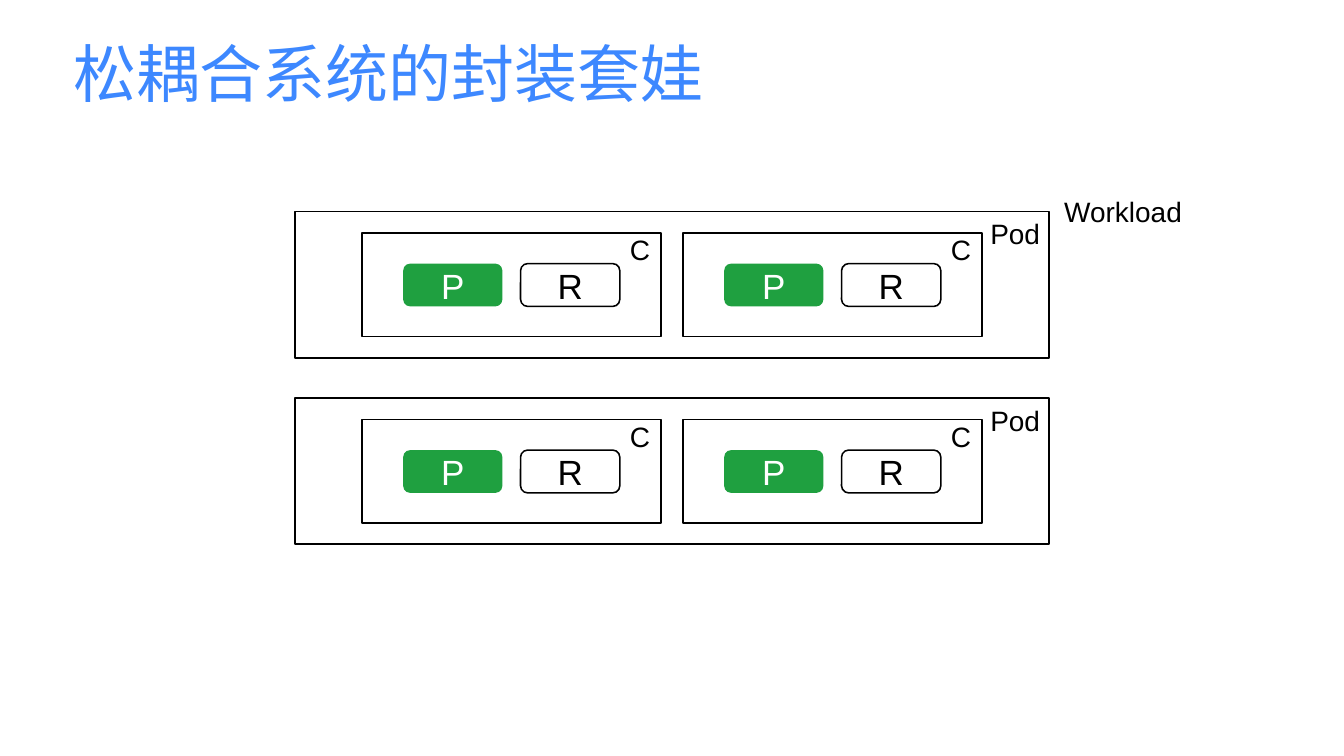
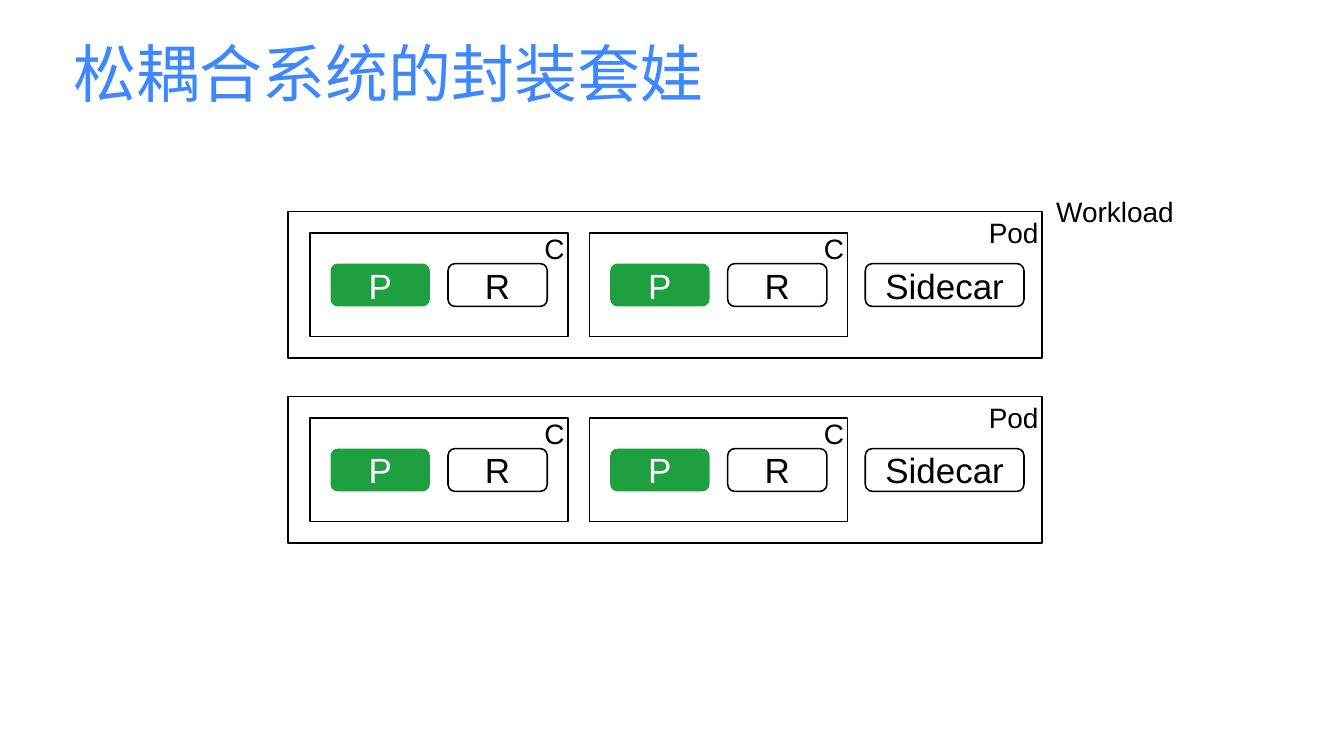
from dataclasses import dataclass
from typing import Optional

from pptx import Presentation
from pptx.dml.color import RGBColor
from pptx.enum.shapes import MSO_SHAPE
from pptx.enum.text import MSO_ANCHOR, MSO_AUTO_SIZE, PP_ALIGN
from pptx.shapes.autoshape import Shape
from pptx.shapes.shapetree import GroupShapes, SlideShapes
from pptx.util import Inches, Pt

RECTANGLE = MSO_SHAPE.RECTANGLE
ROUNDED = MSO_SHAPE.ROUNDED_RECTANGLE
MIDDLE = MSO_ANCHOR.MIDDLE
FIT_SHAPE = MSO_AUTO_SIZE.SHAPE_TO_FIT_TEXT
LEFT, CENTER = PP_ALIGN.LEFT, PP_ALIGN.CENTER

FONT = "Arial"
BLUE, GREEN, BLACK, WHITE = "3D88FF", "1FA040", "000000", "FFFFFF"
TITLE_SIZE, PART_SIZE, LABEL_SIZE = 90, 50, 40
TITLE = "松耦合系统的封装套娃"

POD_TOP, POD_WIDTH, POD_HEIGHT = 4.2, 14.97, 2.9
POD_COUNT = CONTAINERS_PER_POD = 2
CONTAINER_HEIGHT, CONTAINER_GAP = 2.05, 0.43
PART_WIDTH, PART_HEIGHT, PART_GAP = 1.97, 0.85, 0.36
PART_TOP = 1.03
LABEL_HEIGHT = 0.79

AnyShapes = SlideShapes | GroupShapes


@dataclass(frozen=True)
class Box:
    left: float
    top: float
    width: float
    height: float


@dataclass(frozen=True)
class PodLayout:
    """Lengths in inches; offsets are measured from the enclosing box."""
    left: float
    pitch: float
    container_offset: float
    container_width: float
    container_label: tuple[float, float]
    pod_label: tuple[float, float]
    workload_left: float
    sidecar_offset: Optional[float] = None


LAYOUTS = (
    PodLayout(left=5.85, pitch=3.7, container_offset=1.33, container_width=5.94,
              container_label=(5.26, 0.04), pod_label=(13.73, 0.04), workload_left=21.03),
    PodLayout(left=5.71, pitch=3.67, container_offset=0.44, container_width=5.12,
              container_label=(4.59, 0.02), pod_label=(13.84, 0.01), workload_left=20.87,
              sidecar_offset=11.46),
)


def rgb(color: str) -> RGBColor:
    return RGBColor.from_string(color)


def lengths(box: Box) -> tuple[Inches, ...]:
    return tuple(Inches(value) for value in (box.left, box.top, box.width, box.height))


def write_text(shape: Shape, text: str, size: int, color: str,
               alignment: PP_ALIGN = CENTER, wrap: bool = True) -> None:
    frame = shape.text_frame
    frame.word_wrap = wrap
    frame.auto_size = FIT_SHAPE
    frame.vertical_anchor = MIDDLE
    frame.margin_left = frame.margin_right = Inches(0.06)
    frame.margin_top = frame.margin_bottom = Inches(0.06)
    paragraph = frame.paragraphs[0]
    paragraph.alignment = alignment
    run = paragraph.add_run()
    run.text = text
    run.font.name = FONT
    run.font.size = Pt(size)
    run.font.color.rgb = rgb(color)


def add_label(shapes: AnyShapes, box: Box, text: str, size: int = LABEL_SIZE,
              color: str = BLACK, alignment: PP_ALIGN = CENTER) -> None:
    write_text(shapes.add_textbox(*lengths(box)), text, size, color, alignment, wrap=False)


def add_box(shapes: AnyShapes, box: Box, kind: MSO_SHAPE = RECTANGLE,
            fill: str = WHITE, outlined: bool = True) -> Shape:
    shape = shapes.add_shape(kind, *lengths(box))
    shape.shadow.inherit = False
    shape.fill.solid()
    shape.fill.fore_color.rgb = rgb(fill)
    if outlined:
        shape.line.color.rgb = rgb(BLACK)
        shape.line.width = Pt(2.25)
    else:
        shape.line.fill.background()
    return shape


def add_part(shapes: AnyShapes, left: float, top: float, text: str,
             width: float = PART_WIDTH, filled: bool = False) -> None:
    box = Box(left, top, width, PART_HEIGHT)
    shape = add_box(shapes, box, ROUNDED, GREEN if filled else WHITE, outlined=not filled)
    write_text(shape, text, PART_SIZE, WHITE if filled else BLACK)


def add_container(shapes: AnyShapes, left: float, pod_top: float, layout: PodLayout) -> None:
    top = pod_top + (POD_HEIGHT - CONTAINER_HEIGHT) / 2
    add_box(shapes, Box(left, top, layout.container_width, CONTAINER_HEIGHT))
    label_x, label_y = layout.container_label
    add_label(shapes, Box(left + label_x, top + label_y, 0.52, 0.57), "C")
    parts_width = 2 * PART_WIDTH + PART_GAP
    process_left = left + (layout.container_width - parts_width) / 2
    add_part(shapes, process_left, pod_top + PART_TOP, "P", filled=True)
    add_part(shapes, process_left + PART_WIDTH + PART_GAP, pod_top + PART_TOP, "R")


def add_pod(slide_shapes: SlideShapes, top: float, layout: PodLayout) -> None:
    shapes = slide_shapes.add_group_shape().shapes
    add_box(shapes, Box(layout.left, top, POD_WIDTH, POD_HEIGHT))
    label_x, label_y = layout.pod_label
    add_label(shapes, Box(layout.left + label_x, top + label_y, 1.13, LABEL_HEIGHT), "Pod")
    for index in range(CONTAINERS_PER_POD):
        offset = layout.container_offset + index * (layout.container_width + CONTAINER_GAP)
        add_container(shapes, layout.left + offset, top, layout)
    if layout.sidecar_offset is not None:
        add_part(shapes, layout.left + layout.sidecar_offset, top + PART_TOP,
                 "Sidecar", width=3.15)


def add_workload_slide(presentation: Presentation, layout: PodLayout) -> None:
    slide = presentation.slides.add_slide(presentation.slide_layouts[6])
    slide.background.fill.solid()
    slide.background.fill.fore_color.rgb = rgb(WHITE)
    add_label(slide.shapes, Box(1.4, 0.62, 12.73, 1.63), TITLE, TITLE_SIZE, BLUE, LEFT)
    for index in range(POD_COUNT):
        add_pod(slide.shapes, POD_TOP + index * layout.pitch, layout)
    add_label(slide.shapes, Box(layout.workload_left, 3.79, 2.51, LABEL_HEIGHT), "Workload")


def main() -> None:
    presentation = Presentation()
    presentation.slide_width = Inches(26.67)
    presentation.slide_height = Inches(15)
    for layout in LAYOUTS:
        add_workload_slide(presentation, layout)
    presentation.save("out.pptx")


if __name__ == "__main__":
    main()
